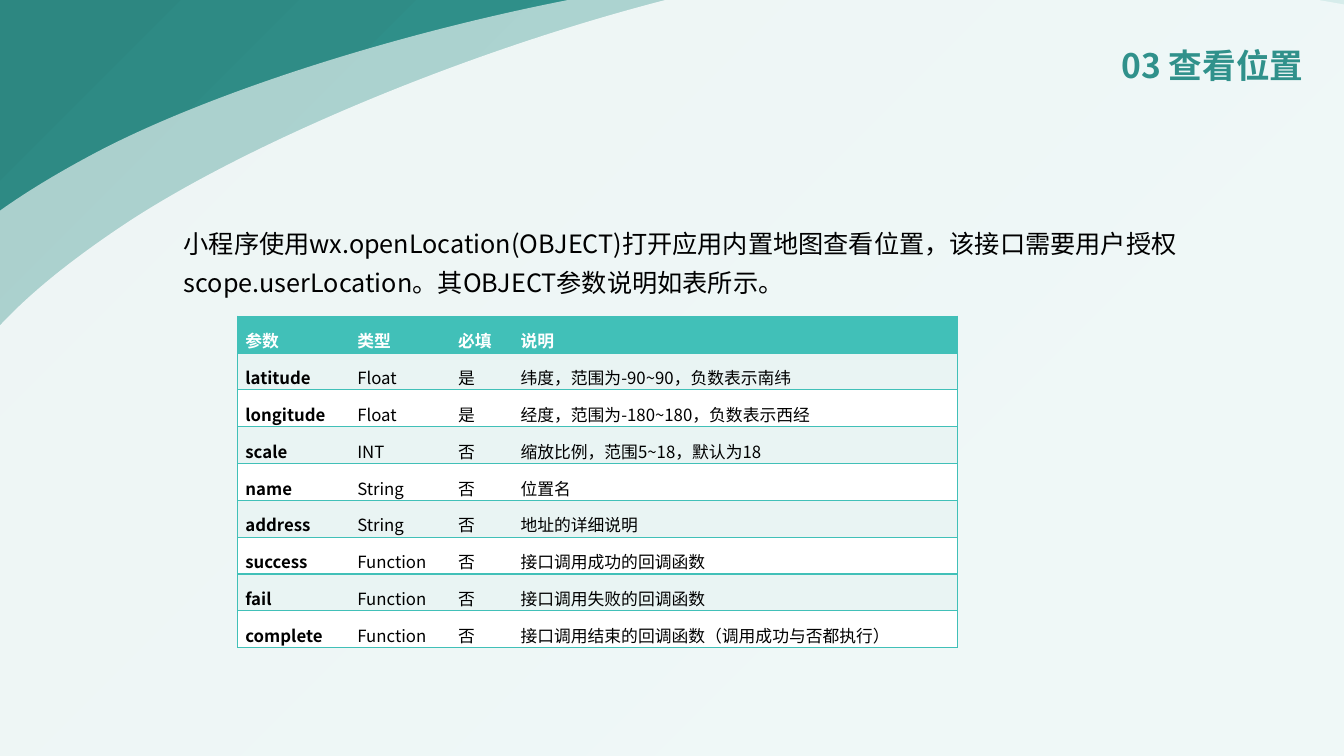
from dataclasses import dataclass

from lxml.etree import SubElement
from pptx import Presentation
from pptx.dml.color import RGBColor as Rgb
from pptx.enum.shapes import MSO_SHAPE as Shape
from pptx.enum.text import MSO_ANCHOR as Anchor
from pptx.enum.text import MSO_AUTO_SIZE as AutoSize
from pptx.enum.text import PP_ALIGN as Align
from pptx.oxml.ns import qn
from pptx.util import Emu, Inches, Pt

FONT = "Noto Sans CJK SC"
COLORS = {
    "title": "30918B", "text": "000000", "white": "FFFFFF",
    "accent": "41C0B8", "band": "E9F4F3",
}
BACKDROP_STOPS = [(0, "39ACA5"), (23, "39ACA5"), (69, "30918B"), (97, "2D8781")]
NO_GRID_STYLE = "{2D5ABB26-0587-4C30-8999-92F81FD0307C}"

# Grid: square cells, 40 columns by 22.5 rows
COLS, ROWS = 40, 22.5
CELL = Inches(40 / 3) / COLS


@dataclass
class Area:
    col: float
    row: float
    cols: float
    rows: float


@dataclass
class Wave:
    area: Area
    opacity: int
    rotation: float


@dataclass
class Param:
    name: str
    kind: str
    required: str
    note: str


TITLE_AREA = Area(21.69, 0.84, 17.4, 2.37)
BODY_AREA = Area(5.17, 6.37, 30.72, 9.75)
TABLE_AREA = Area(7.08, 9.41, 21.42, 9.87)
TABLE_COLS = [3.33, 3, 1.86, 13.23]

WAVES = [
    Wave(Area(-5.79, -1.02, 61.32, 29.79), opacity=60, rotation=0),
    Wave(Area(-4.14, -1.17, 61.32, 29.79), opacity=80, rotation=354.1),
]
# Wave outline from its own corner: two control points and an end point per curve
WAVE_START = (1.74, 12.69)
WAVE_CURVES = [
    ((2.73, 9.93), (3.96, 8.04), (8.67, 5.55)),
    ((13.35, 3.09), (22.71, 0.42), (30.18, 0.06)),
    ((37.68, -0.3), (48.87, 0.99), (53.55, 3.48)),
    ((58.26, 5.94), (63.6, 13.5), (60.33, 17.4)),
    ((57.03, 21.33), (39.78, 28.95), (30.18, 29.73)),
    ((20.58, 30.51), (7.35, 24.57), (2.67, 22.08)),
    ((-2.04, 19.62), (0.75, 15.45), WAVE_START),
]

PARAMS = [
    Param("参数", "类型", "必填", "说明"),
    Param("latitude", "Float", "是", "纬度，范围为-90~90，负数表示南纬"),
    Param("longitude", "Float", "是", "经度，范围为-180~180，负数表示西经"),
    Param("scale", "INT", "否", "缩放比例，范围5~18，默认为18"),
    Param("name", "String", "否", "位置名"),
    Param("address", "String", "否", "地址的详细说明"),
    Param("success", "Function", "否", "接口调用成功的回调函数"),
    Param("fail", "Function", "否", "接口调用失败的回调函数"),
    Param("complete", "Function", "否", "接口调用结束的回调函数（调用成功与否都执行）"),
]


def grid(cells: float) -> Emu:
    return Emu(round(cells * CELL))


def write(tf, text: str, *, size: float, color: str, bold: bool = False,
          align=Align.LEFT, spacing: float = 1) -> None:
    p = tf.paragraphs[0]
    p.alignment, p.line_spacing, p.space_before = align, spacing, Pt(0)
    r = p.add_run()
    r.text = text
    r.font.size, r.font.bold, r.font.name = Pt(size), bold, FONT
    r.font.color.rgb = Rgb.from_string(COLORS[color])
    SubElement(r.font._element, qn("a:ea"), typeface=FONT)


def place(sp, area: Area) -> None:
    sp.left, sp.top = grid(area.col), grid(area.row)
    sp.width, sp.height = grid(area.cols), grid(area.rows)


def draw_backdrop(slide) -> None:
    sp = slide.shapes.add_shape(Shape.RECTANGLE, 0, 0, grid(COLS), grid(ROWS))
    sp.shadow.inherit = False
    sp.line.fill.background()
    sp.fill.gradient()
    grad = sp.element.spPr.find(qn("a:gradFill"))
    stops = grad.find(qn("a:gsLst"))
    for old in list(stops):
        stops.remove(old)
    for percent, color in BACKDROP_STOPS:
        stop = SubElement(stops, qn("a:gs"), pos=str(percent * 1000))
        SubElement(stop, qn("a:srgbClr"), val=color)
    grad.find(qn("a:lin")).set("ang", str(225 * 60000))


def draw_wave(slide, wave: Wave) -> None:
    builder = slide.shapes.build_freeform(*map(grid, WAVE_START))
    builder.add_line_segments(
        [(grid(end[0]), grid(end[1])) for *_, end in WAVE_CURVES], close=True)
    sp = builder.convert_to_shape()
    place(sp, wave.area)
    sp.rotation = wave.rotation
    sp.shadow.inherit = False
    sp.line.fill.background()
    sp.fill.solid()
    sp.fill.fore_color.rgb = Rgb.from_string(COLORS["white"])
    color = sp.element.spPr.find(f"{qn('a:solidFill')}/{qn('a:srgbClr')}")
    SubElement(color, qn("a:alpha"), val=str(wave.opacity * 1000))

    # Turn the straight segments into Bézier curves
    outline = sp.element.spPr.find(f".//{qn('a:pathLst')}")[0]
    for old in list(outline):
        outline.remove(old)
    outline.set("w", str(sp.width))
    outline.set("h", str(sp.height))
    for tag, points in [("moveTo", [WAVE_START]),
                        *(("cubicBezTo", curve) for curve in WAVE_CURVES)]:
        segment = SubElement(outline, qn(f"a:{tag}"))
        for x, y in points:
            SubElement(segment, qn("a:pt"), x=str(grid(x)), y=str(grid(y)))
    SubElement(outline, qn("a:close"))


def set_borders(cell, sides: list[str]) -> None:
    tc_pr = cell._tc.get_or_add_tcPr()
    for index, side in enumerate(sides):
        ln = tc_pr.makeelement(qn(f"a:{side}"), {"w": str(Pt(1))})
        fill = SubElement(ln, qn("a:solidFill"))
        SubElement(fill, qn("a:srgbClr"), val=COLORS["accent"])
        tc_pr.insert(index, ln)


def draw_table(slide) -> None:
    frame = slide.shapes.add_table(
        len(PARAMS), len(TABLE_COLS), grid(TABLE_AREA.col), grid(TABLE_AREA.row),
        grid(TABLE_AREA.cols), grid(TABLE_AREA.rows))
    table = frame.table
    table._tbl.tblPr.find(qn("a:tableStyleId")).text = NO_GRID_STYLE
    for column, width in zip(table.columns, TABLE_COLS):
        column.width = grid(width)
    for i, param in enumerate(PARAMS):
        fill = "accent" if i == 0 else "band" if i % 2 else "white"
        for j, text in enumerate((param.name, param.kind, param.required, param.note)):
            cell = table.cell(i, j)
            cell.margin_left = cell.margin_right = Pt(5.4)
            cell.margin_top = cell.margin_bottom = 0
            cell.fill.solid()
            cell.fill.fore_color.rgb = Rgb.from_string(COLORS[fill])
            left = ["lnL"] if j == 0 else []
            right = ["lnR"] if j == len(TABLE_COLS) - 1 else []
            set_borders(cell, left + right + ["lnT", "lnB"])
            write(cell.text_frame, text, size=12, spacing=1.5,
                  color="text" if i else "white", bold=i == 0 or j == 0)


def main() -> None:
    prs = Presentation()
    prs.slide_width, prs.slide_height = grid(COLS), grid(ROWS)
    slide = prs.slides.add_slide(prs.slide_layouts[1])
    title, body = slide.placeholders

    # Background
    draw_backdrop(slide)
    for wave in WAVES:
        draw_wave(slide, wave)

    # Placeholders in front of the background
    for sp, area in ((title, TITLE_AREA), (body, BODY_AREA)):
        place(sp, area)
        slide.shapes.element.append(sp.element)

    # Title
    tf = title.text_frame
    tf.auto_size, tf.vertical_anchor = AutoSize.NONE, Anchor.MIDDLE
    write(tf, "03 查看位置", size=24, color="title", bold=True,
          align=Align.RIGHT, spacing=0.9)

    # Introduction
    tf = body.text_frame
    tf.auto_size, tf.vertical_anchor = AutoSize.SHAPE_TO_FIT_TEXT, Anchor.TOP
    p_pr = tf.paragraphs[0]._p.get_or_add_pPr()
    p_pr.set("marL", "0")
    p_pr.set("indent", "0")
    SubElement(p_pr, qn("a:buNone"))
    write(tf, "小程序使用wx.openLocation(OBJECT)打开应用内置地图查看位置，该接口需要用户授权 "
              "scope.userLocation。其OBJECT参数说明如表所示。",
          size=18, color="text", spacing=1.3)

    # Parameter table
    draw_table(slide)
    prs.save("out.pptx")


if __name__ == "__main__":
    main()
